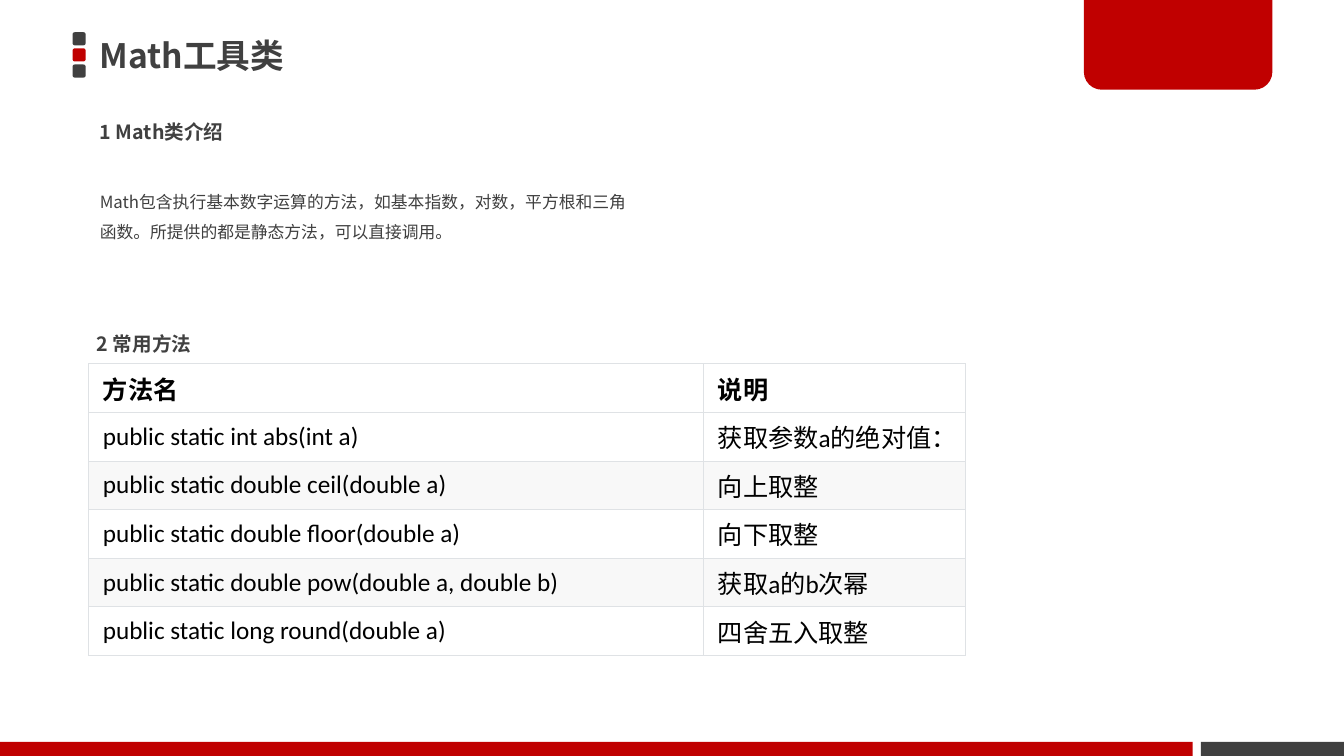
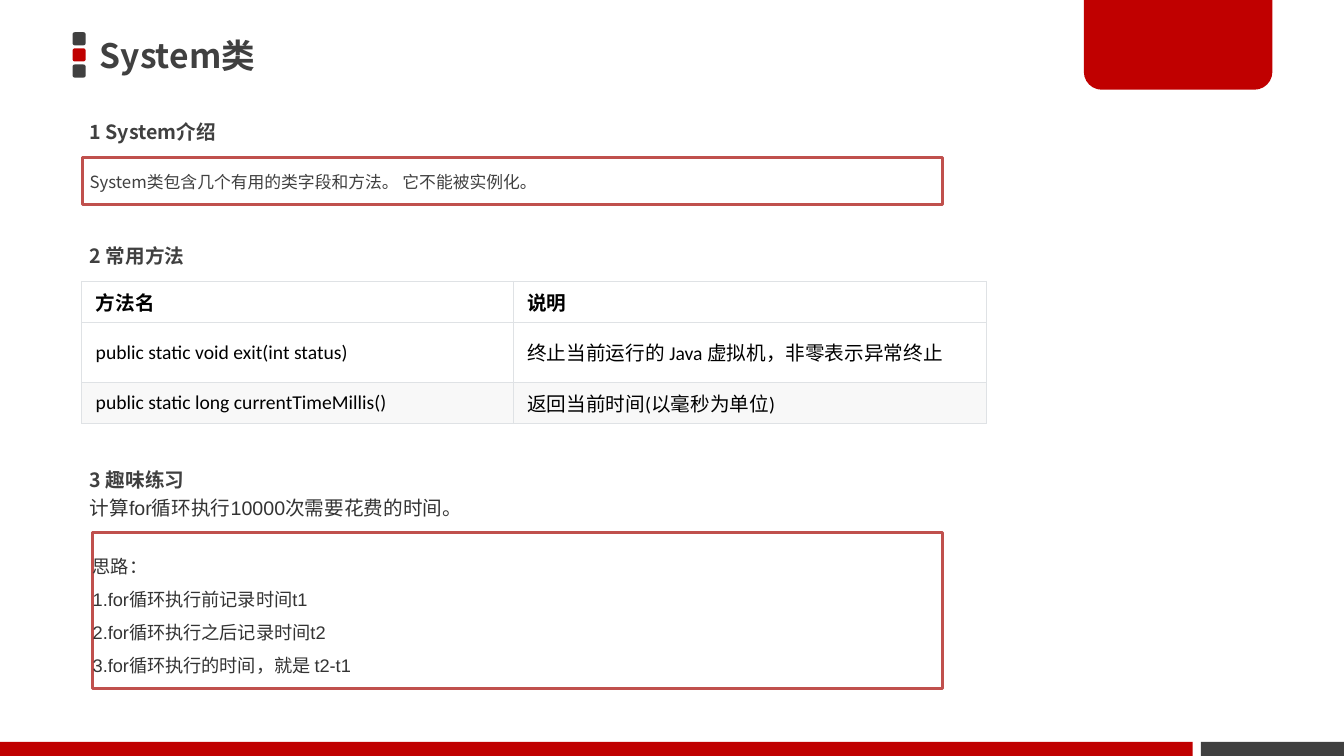
"""Build two slides on the Math and System classes."""
from lxml.etree import SubElement
from pptx import Presentation
from pptx.dml.color import RGBColor
from pptx.enum.shapes import MSO_SHAPE
from pptx.enum.text import MSO_ANCHOR, MSO_AUTO_SIZE, PP_ALIGN
from pptx.oxml.ns import qn
from pptx.util import Inches, Pt

RED = RGBColor(0xC0, 0x00, 0x00)
DARK = RGBColor(0x40, 0x40, 0x40)
INK = RGBColor(0x33, 0x33, 0x33)
BLACK = RGBColor(0x00, 0x00, 0x00)
WHITE = RGBColor(0xFF, 0xFF, 0xFF)
PALE = RGBColor(0xF8, 0xF8, 0xF8)
EDGE = RGBColor(0xDF, 0xE2, 0xE5)
FRAME = RGBColor(0xC0, 0x50, 0x4D)

WIDE, HIGH = 13.33, 7.5
BAND, SPLIT, GAP = 0.14, 11.83, 0.08
NOTO = "Noto Sans CJK JP"
INSET = (0.07, 0.04, 0.07, 0.04)
STYLES = {
    "title": dict(size=24, face=NOTO, color=DARK, bold=True),
    "head": dict(size=14, face=NOTO, color=DARK, bold=True),
    "body": dict(size=12, face=NOTO, color=DARK, line=1.5),
    "task": dict(size=14, face="Arial", color=INK, before=3),
    "idea": dict(size=13, face="Arial", color=INK, line=1.5),
    "step": dict(size=13, face="Arial", color=INK, line=1.5, number=True),
}

SLIDES = [
    {
        "title": "Math工具类",
        "texts": [
            dict(at=(0.92, 1.02, 5.44, 0.57), paras=[("head", "1 Math类介绍")]),
            dict(at=(0.92, 1.76, 5.44, 1.15), top=True, paras=[
                ("body", "Math包含执行基本数字运算的方法，如基本指数，对数，平方根和三角函数。"
                         "所提供的都是静态方法，可以直接调用。")]),
            dict(at=(0.89, 3.12, 5.44, 0.57), paras=[("head", "2 常用方法")]),
        ],
        "table": dict(at=(0.88, 3.61), cols=(6.1, 2.6), rows=(0.48,) * 6, size=18, cells=[
            ("方法名", "说明"),
            ("public static int abs(int a)", "获取参数a的绝对值："),
            ("public static double ceil(double a)", "向上取整"),
            ("public static double floor(double a)", "向下取整"),
            ("public static double pow(double a, double b)", "获取a的b次幂"),
            ("public static long round(double a)", "四舍五入取整"),
        ]),
    },
    {
        "title": "System类",
        "texts": [
            dict(at=(0.82, 1.02, 5.44, 0.57), paras=[("head", "1 System介绍")]),
            dict(at=(0.82, 1.56, 8.53, 0.47), top=True, framed=True, paras=[
                ("body", "System类包含几个有用的类字段和方法。 它不能被实例化。")]),
            dict(at=(0.82, 2.25, 5.44, 0.57), paras=[("head", "2 常用方法")]),
            dict(at=(0.82, 4.61, 5.44, 0.57), paras=[
                ("head", "3 趣味练习"),
                ("task", "计算for循环执行10000次需要花费的时间。")]),
            dict(at=(0.92, 5.28, 8.43, 1.55), framed=True, inset=(0, 0.14, 0, 0.14), paras=[
                ("idea", "思路："),
                ("step", "for循环执行前记录时间t1"),
                ("step", "for循环执行之后记录时间t2"),
                ("step", "for循环执行的时间，就是 t2-t1")]),
        ],
        "table": dict(at=(0.81, 2.79), cols=(4.28, 4.69), rows=(0.41, 0.59, 0.41), size=14, cells=[
            ("方法名", "说明"),
            ("public static void exit(int status)", "终止当前运行的 Java 虚拟机，非零表示异常终止"),
            ("public static long currentTimeMillis()", "返回当前时间(以毫秒为单位)"),
        ]),
    },
]


def inches(nums):
    return [Inches(n) for n in nums]


def style(para, size, face, color, bold=False, line=None, before=0, number=False):
    para.alignment = PP_ALIGN.LEFT
    if line:
        para.line_spacing = line
    if before:
        para.space_before = Pt(before)
    props = para._p.get_or_add_pPr()
    if number:
        props.set("marL", "0")
        props.set("indent", "0")
        SubElement(props, qn("a:buAutoNum"), type="arabicPeriod")
    font = para.font
    font.size, font.name, font.bold = Pt(size), face, bold
    font.color.rgb = color
    SubElement(props.find(qn("a:defRPr")), qn("a:ea"), typeface=NOTO)


def fill_text(shape, paras, inset=INSET, top=False):
    frame = shape.text_frame
    frame.word_wrap = True
    frame.auto_size = MSO_AUTO_SIZE.NONE
    frame.vertical_anchor = MSO_ANCHOR.TOP if top else MSO_ANCHOR.MIDDLE
    (frame.margin_left, frame.margin_top,
     frame.margin_right, frame.margin_bottom) = inches(inset)
    for i, (kind, text) in enumerate(paras):
        para = frame.add_paragraph() if i else frame.paragraphs[0]
        para.text = text
        style(para, **STYLES[kind])


def add_block(slide, kind, at, color):
    block = slide.shapes.add_shape(kind, *inches(at))
    block.shadow.inherit = False
    block.fill.solid()
    block.fill.fore_color.rgb = color
    block.line.fill.background()
    return block


def add_text(slide, at, paras, framed=False, **look):
    if framed:
        box = add_block(slide, MSO_SHAPE.RECTANGLE, at, WHITE)
        box.line.color.rgb = FRAME
        box.line.width = Pt(2)
    else:
        box = slide.shapes.add_textbox(*inches(at))
    fill_text(box, paras, **look)


def add_edges(cell):
    props = cell._tc.get_or_add_tcPr()
    for side in ("lnL", "lnR", "lnT", "lnB"):
        line = SubElement(props, qn("a:" + side), w=str(Pt(0.75)))
        SubElement(SubElement(line, qn("a:solidFill")), qn("a:srgbClr"), val=str(EDGE))


def add_grid(slide, at, cols, rows, size, cells):
    area = inches((*at, sum(cols), sum(rows)))
    grid = slide.shapes.add_table(len(rows), len(cols), *area).table
    grid.first_row = grid.horz_banding = False
    for col, width in zip(grid.columns, cols):
        col.width = Inches(width)
    for r, (row, height) in enumerate(zip(grid.rows, rows)):
        row.height = Inches(height)
        for cell, text in zip(row.cells, cells[r]):
            cell.margin_left = cell.margin_right = Inches(0.14)
            cell.margin_top = cell.margin_bottom = Inches(0.06)
            cell.vertical_anchor = MSO_ANCHOR.MIDDLE
            add_edges(cell)
            cell.fill.solid()
            cell.fill.fore_color.rgb = PALE if r and r % 2 == 0 else WHITE
            cell.text = text
            style(cell.text_frame.paragraphs[0], size, "Calibri", BLACK, bold=r == 0)


def dress(layout, slide):
    """Draw the shared blocks and move them to the layout."""
    blocks = [
        add_block(slide, MSO_SHAPE.ROUNDED_RECTANGLE, (0.72, 0.32 + 0.16 * i, 0.13, 0.13), color)
        for i, color in enumerate((DARK, RED, DARK))]
    base, right = HIGH - BAND, SPLIT + GAP
    for left, width, color in ((right, WIDE - right, DARK), (0, SPLIT, RED)):
        blocks.append(add_block(slide, MSO_SHAPE.RECTANGLE, (left, base, width, BAND), color))
    flag = add_block(slide, MSO_SHAPE.ROUND_2_SAME_RECTANGLE, (10.75, 0, 1.87, 0.89), RED)
    flag.adjustments[0], flag.adjustments[1] = 0, 0.2
    for i, block in enumerate(blocks + [flag]):
        block.element.nvSpPr.cNvPr.set("id", str(50 + i))
        layout.shapes.element.insert(2 + i, block.element)


def main():
    deck = Presentation()
    deck.slide_width, deck.slide_height = inches((WIDE, HIGH))
    layout = deck.slide_layouts[5]
    for i, page in enumerate(SLIDES):
        slide = deck.slides.add_slide(layout)
        if i == 0:
            dress(layout, slide)
        title = slide.shapes.title
        title.left, title.top, title.width, title.height = inches((0.92, 0.26, 9.59, 0.57))
        fill_text(title, [("title", page["title"])])
        for text in page["texts"]:
            add_text(slide, **text)
        add_grid(slide, **page["table"])
    deck.save("out.pptx")


if __name__ == "__main__":
    main()
